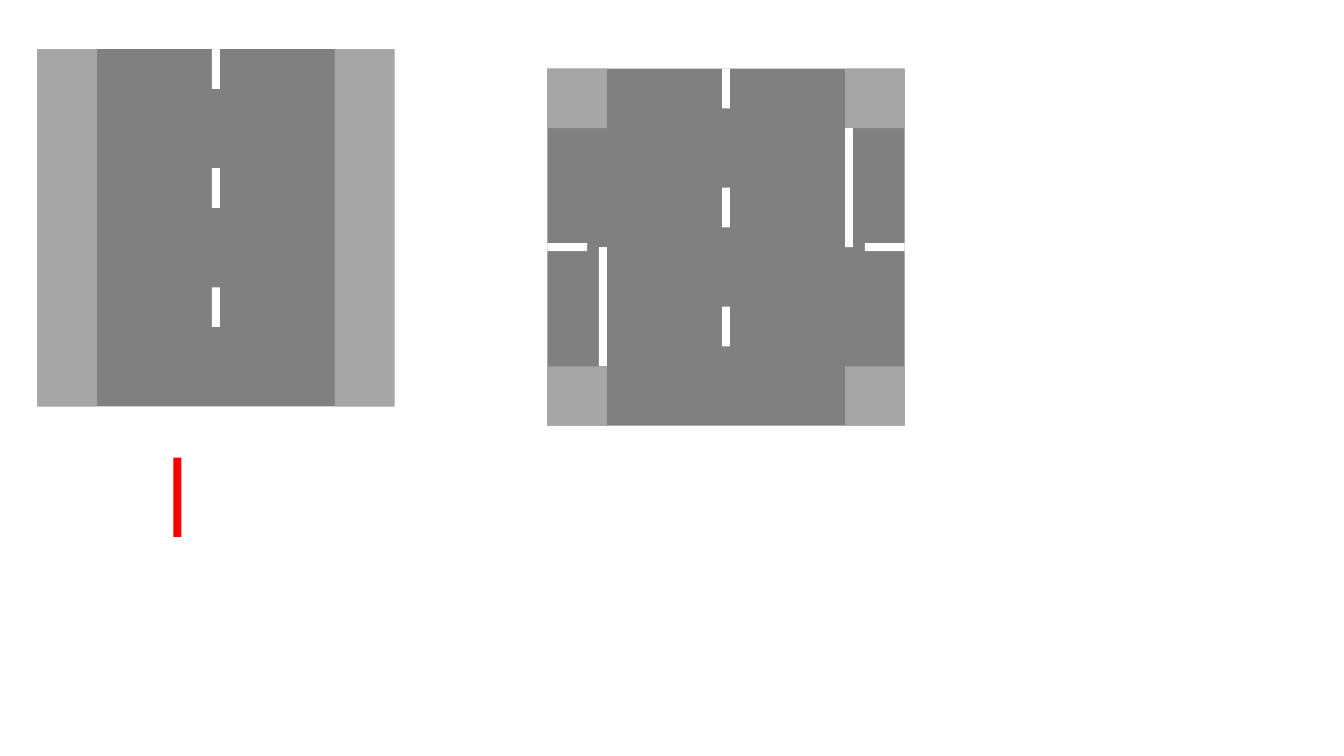
from pptx import Presentation
from pptx.dml.color import RGBColor
from pptx.enum.shapes import MSO_SHAPE
from pptx.util import Cm, Inches

RECT = MSO_SHAPE.RECTANGLE
ASPHALT, PAVEMENT, PAINT, RED = "808080", "A6A6A6", "FFFFFF", "FF0000"

# Lengths in centimetres: a road tile is a 6 x 6 grid of cells
CELL = 1.5
TILE = 6 * CELL
FAR = TILE - CELL
MIDDLE = TILE / 2
LINE = 0.2
DASH = 1


def add_rect(shapes, x, y, w, h, color, rotation=0):
    sp = shapes.add_shape(RECT, Cm(x), Cm(y), Cm(w), Cm(h))
    sp.shadow.inherit = False
    sp.fill.solid()
    sp.fill.fore_color.rgb = RGBColor.from_string(color)
    sp.line.fill.background()
    sp.rotation = rotation


def add_tile(s, left, top, parts):
    """Group an asphalt square with its parts, placed relative to its corner."""
    shapes = s.shapes.add_group_shape().shapes
    add_rect(shapes, left, top, TILE, TILE, ASPHALT)
    for x, y, *rest in parts:
        add_rect(shapes, left + x, top + y, *rest)


def centre_dashes():
    return [(MIDDLE - LINE / 2, row * 2 * CELL, LINE, DASH, PAINT)
            for row in range(3)]


def straight_road():
    pavements = [(x, 0, CELL, TILE, PAVEMENT) for x in (0, FAR)]
    return pavements + centre_dashes()


def crossroads():
    corners = [(x, y, CELL, CELL, PAVEMENT) for y in (0, FAR) for x in (0, FAR)]
    side_dashes = [(x - LINE / 2, MIDDLE - DASH / 2, LINE, DASH, PAINT, 90)
                   for x in (TILE - DASH / 2, DASH / 2)]
    stop_lines = [(CELL - LINE, MIDDLE, LINE, 2 * CELL, PAINT),
                  (FAR, CELL, LINE, 2 * CELL, PAINT)]
    return corners + centre_dashes() + side_dashes + stop_lines


def main():
    prs = Presentation()
    prs.slide_width, prs.slide_height = Inches(13.33), Inches(7.5)
    s = prs.slides.add_slide(prs.slide_layouts[6])
    add_tile(s, 0.94, 1.24, straight_road())
    add_rect(s.shapes, 4.37, 11.53, LINE, 2 * DASH, RED)
    add_tile(s, 13.79, 1.73, crossroads())
    prs.save("out.pptx")


if __name__ == "__main__":
    main()
